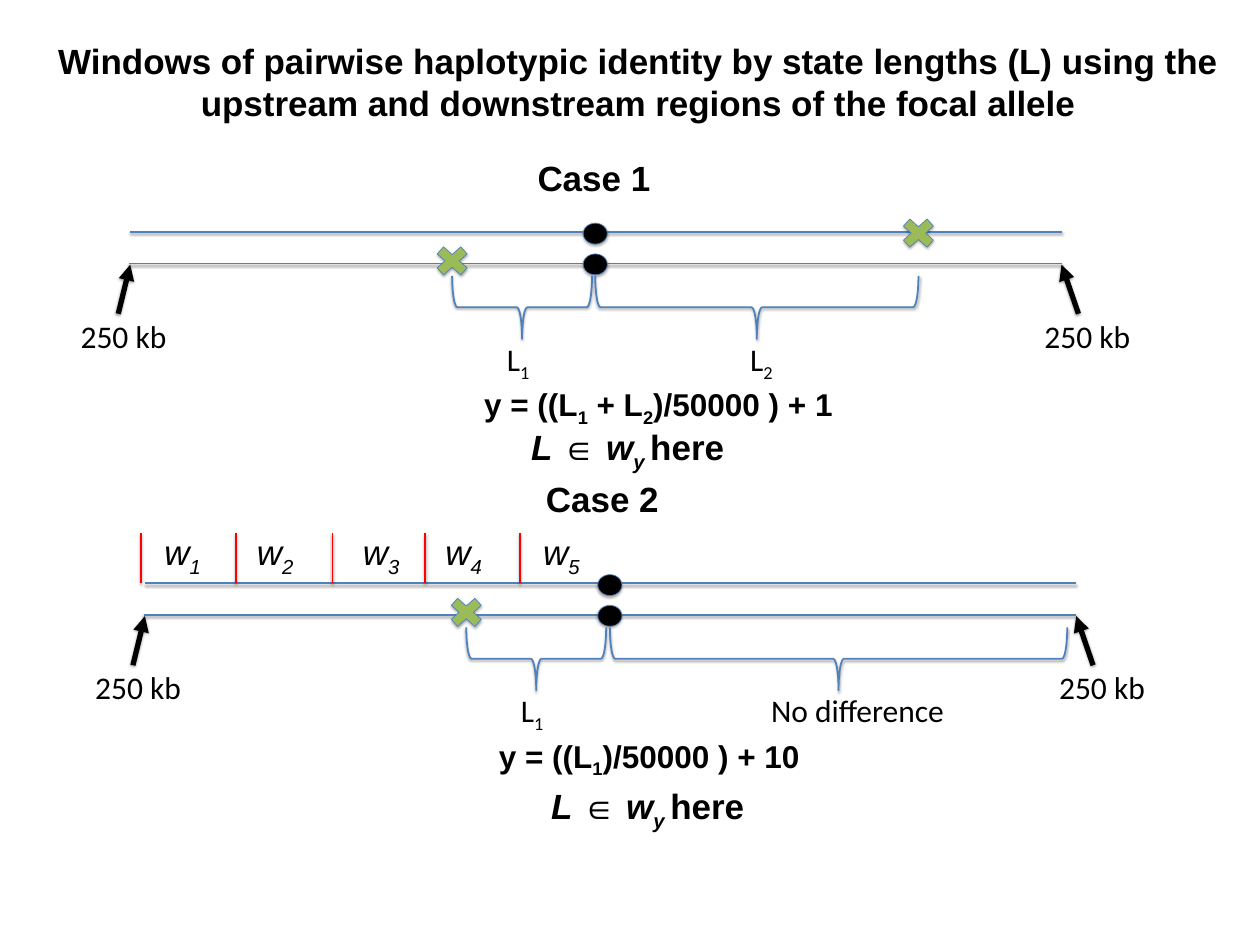
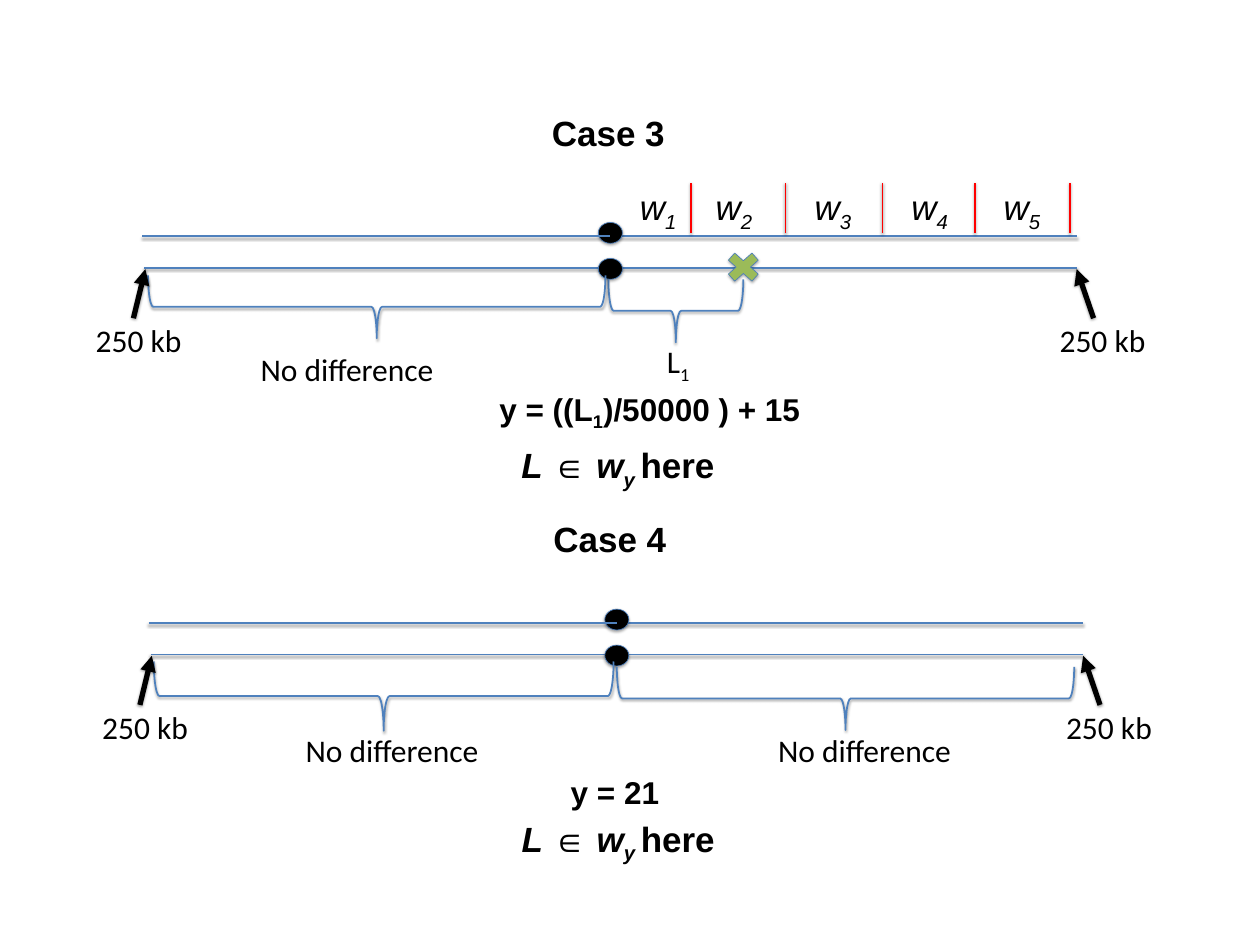
from dataclasses import dataclass

from lxml import etree
from pptx import Presentation
from pptx.dml.color import RGBColor
from pptx.enum.shapes import MSO_CONNECTOR, MSO_SHAPE
from pptx.enum.text import MSO_AUTO_SIZE, PP_ALIGN
from pptx.oxml.ns import qn
from pptx.util import Cm, Pt

STRAIGHT = MSO_CONNECTOR.STRAIGHT
OVAL, CROSS, BRACE = MSO_SHAPE.OVAL, MSO_SHAPE.MATH_MULTIPLY, MSO_SHAPE.LEFT_BRACE
GROW = MSO_AUTO_SIZE.SHAPE_TO_FIT_TEXT
LEFT, CENTER = PP_ALIGN.LEFT, PP_ALIGN.CENTER

COLORS = {
    "ink": "000000",
    "strand": "4F81BD",
    "edge": "4B7EBC",
    "cross": "9BBB59",
    "tick": "FF0000",
}
HEAD = ("Windows of pairwise haplotypic identity by state lengths (L) using the "
        "upstream and downstream regions of the focal allele")
SAME = "No difference"

# All lengths are in centimetres.
HALF = 18.8      # half of a strand
LAP = 0.13       # overlap of two strand halves
GAP = 1.27       # distance between the strands
DROP = 2.03      # from the lower strand to the foot of an arrow
TICKS = (0, 3.81, 7.72, 11.46, 15.27)
WIDE = 47.32     # width of headings


@dataclass(frozen=True)
class Span:
    """A brace and its label, measured from the focal allele."""
    start: float
    end: float
    text: str
    left: float
    top: float = 0.5
    tall: float = 2.54
    below: float = 2.95


@dataclass(frozen=True)
class Scale:
    """Window borders and the labels between them."""
    first: float
    left: float
    top: float
    tabs: tuple[float, ...]


@dataclass(frozen=True)
class Case:
    name: str
    x: float
    y: float
    title: tuple[float, float]
    rule: str
    rule_at: tuple[float, float]
    member: tuple[float, float]
    spans: tuple[Span, ...]
    marks: tuple[tuple[float, float], ...] = ()
    scale: Scale | None = None
    raised: bool = False


CASES = (
    (
        Case("Case 1 ", 24.0, 10.62, (-23.52, -4.45),
             "y = ((L|1| + L|2|)/50000 ) + 1", (-4.73, 4.78), (-2.84, 6.43),
             (Span(-5.77, -0.13, "L|1", -3.81), Span(0, 13.03, "L|2", 5.99)),
             marks=((13.03, -1.22), (-5.77, -0.1))),
        Case("Case 2 ", 24.59, 24.79, (-23.77, -5.66),
             "y = ((L|1|)/50000 ) + 10", (-4.73, 4.78), (-2.62, 6.73),
             (Span(-5.79, -0.15, "L|1", -3.84), Span(0, 18.44, SAME, 6.25)),
             marks=((-5.79, -0.1),),
             scale=Scale(-18.9, -18.21, -3.53, (3.73, 8.0, 11.33, 15.27))),
    ),
    (
        Case("Case 3 ", 24.61, 10.8, (-23.55, -6.43),
             "y = ((L|1|)/50000 ) + 15", (-4.73, 4.78), (-3.84, 6.96),
             (Span(-0.08, 5.36, "L|1", 2.03, top=0.46, below=2.87),
              Span(-18.64, -0.2, SAME, -14.35, top=0.3, below=3.18)),
             marks=((5.36, -0.03),),
             scale=Scale(3.25, 0.94, -3.43, (3.05, 7.04, 10.95, 14.66)),
             raised=True),
        Case("Case 4 ", 24.87, 26.39, (-23.75, -5.66),
             "y = 21", (-2.11, 4.65), (-4.09, 6.43),
             (Span(-18.67, -0.13, SAME, -12.8, top=0.28, tall=2.79),
              Span(0, 18.44, SAME, 6.25)),
             raised=True),
    ),
)


def paint(key: str) -> RGBColor:
    return RGBColor.from_string(COLORS[key])


def shade(item, alpha: int, dist: int) -> None:
    """Give a drawn item the soft shadow below it."""
    props = item.element.spPr
    for old in props.findall(qn("a:effectLst")):
        props.remove(old)
    cast = etree.SubElement(
        etree.SubElement(props, qn("a:effectLst")), qn("a:outerShdw"),
        blurRad="40000", dist=str(dist), dir="5400000", rotWithShape="0")
    tone = etree.SubElement(cast, qn("a:srgbClr"), val=COLORS["ink"])
    etree.SubElement(tone, qn("a:alpha"), val=str(alpha * 1000))


def line(slide, x1: float, y1: float, x2: float, y2: float,
         key: str = "strand", width: float = 2, arrow: bool = False) -> None:
    item = slide.shapes.add_connector(STRAIGHT, Cm(x1), Cm(y1), Cm(x2), Cm(y2))
    item.line.color.rgb = paint(key)
    item.line.width = Pt(width)
    if arrow:
        etree.SubElement(item.element.spPr.find(qn("a:ln")), qn("a:tailEnd"),
                         type="triangle")
    shade(item, 38, 20000)


def spot(slide, kind, x: float, y: float, wide: float, tall: float, key: str) -> None:
    """Draw a filled shape centred on x, y."""
    item = slide.shapes.add_shape(
        kind, Cm(x - wide / 2), Cm(y - tall / 2), Cm(wide), Cm(tall))
    item.fill.solid()
    item.fill.fore_color.rgb = paint(key)
    item.line.color.rgb = paint("edge")
    item.line.width = Pt(0.75)
    shade(item, 35, 23000)


def dot(slide, x: float, y: float) -> None:
    spot(slide, OVAL, x, y, 0.97, 0.84, "ink")


def brace(slide, x: float, y: float, span: Span) -> None:
    """Draw a brace that opens upwards, as a left brace on its side."""
    wide = span.end - span.start
    mid_x = x + (span.start + span.end) / 2
    mid_y = y + span.top + span.tall / 2
    item = slide.shapes.add_shape(
        BRACE, Cm(mid_x - span.tall / 2), Cm(mid_y - wide / 2),
        Cm(span.tall), Cm(wide))
    item.rotation = 270
    item.fill.background()
    item.line.color.rgb = paint("strand")
    item.line.width = Pt(2)
    shade(item, 38, 20000)


def write(slide, x: float, y: float, wide: float, text: str, size: int = 36,
          face: str = "Calibri", bold: bool = False, slant: bool = False,
          align=LEFT, tall: float = 1.8):
    """Add text in which every second part between bars is a subscript."""
    box = slide.shapes.add_textbox(Cm(x), Cm(y), Cm(wide), Cm(tall))
    frame = box.text_frame
    frame.word_wrap = True
    frame.auto_size = GROW
    para = frame.paragraphs[0]
    para.alignment = align
    font = para.font
    font.size, font.name = Pt(size), face
    font.bold, font.italic = bold, slant
    font.color.rgb = paint("ink")
    for i, part in enumerate(text.split("|")):
        run = para.add_run()
        run.text = part
        if i % 2:
            run.font._element.set("baseline", "-25000")
    return para


def head(slide, x: float, y: float, text: str, tall: float = 1.96) -> None:
    write(slide, x, y, WIDE, text, 40, "Arial", bold=True, align=CENTER, tall=tall)


def member(slide, x: float, y: float) -> None:
    para = write(slide, x, y, 29.31, "L ∈ w|y |here", 40, "Arial",
                 bold=True, slant=True, tall=1.96)
    para.runs[-1].font.italic = False


def windows(slide, x: float, y: float, foot: float, scale: Scale) -> None:
    for step in TICKS:
        at = x + scale.first + step
        line(slide, at, foot - 2.02, at, foot, "tick")
    text = "|\t".join(f"w|{i}" for i in range(1, len(TICKS) + 1))
    para = write(slide, x + scale.left, y + scale.top, 23.7, text, 40, "Arial",
                 slant=True, tall=1.96)
    stops = etree.Element(qn("a:tabLst"))
    for tab in scale.tabs:
        etree.SubElement(stops, qn("a:tab"), pos=str(Cm(tab)), algn="l")
    para.font._element.addprevious(stops)


def ends(slide, x: float, y: float) -> None:
    """Mark both ends of the region with an arrow and its distance."""
    for foot, tip, left in ((-19.23, -18.75, -21.0), (19.48, HALF, 17.86)):
        write(slide, x + left, y + DROP, 6.68, "250 kb")
        line(slide, x + foot, y + DROP, x + tip, y + 0.05, "ink", 6, arrow=True)


def draw(slide, case: Case) -> None:
    x, y = case.x, case.y
    shift = LAP if case.raised else 0
    top = y - GAP

    def upper() -> None:
        line(slide, x - 18.75 - shift, top, x + LAP - shift, top)

    line(slide, x - 0.08, top, x + HALF, top)
    line(slide, x - LAP, y, x + HALF, y)
    line(slide, x - HALF, y, x + LAP, y)
    if not case.raised:
        upper()
    for dx, dy in case.marks:
        spot(slide, CROSS, x + dx, y + dy, 1.83, 1.63, "cross")
    dot(slide, x, y + 0.04)
    dot(slide, x, y - (1.41 if case.raised else 1.2))
    if case.raised:
        upper()
    for span in case.spans:
        brace(slide, x, y, span)
        write(slide, x + span.left, y + span.below,
              11 if span.text == SAME else 6.68, span.text)
    ends(slide, x, y)
    if case.scale:
        windows(slide, x, y, top - shift, case.scale)
    head(slide, x + case.title[0], y + case.title[1], case.name)
    write(slide, x + case.rule_at[0], y + case.rule_at[1], 15.98, case.rule,
          face="Arial", bold=True)
    member(slide, x + case.member[0], y + case.member[1])


def main() -> None:
    deck = Presentation()
    deck.slide_width, deck.slide_height = Cm(50.8), Cm(38.1)
    for i, cases in enumerate(CASES):
        slide = deck.slides.add_slide(deck.slide_layouts[6])
        if i == 0:
            head(slide, 2.06, 1.45, HEAD, 3.68)
        for case in cases:
            draw(slide, case)
    deck.save("out.pptx")


if __name__ == "__main__":
    main()
